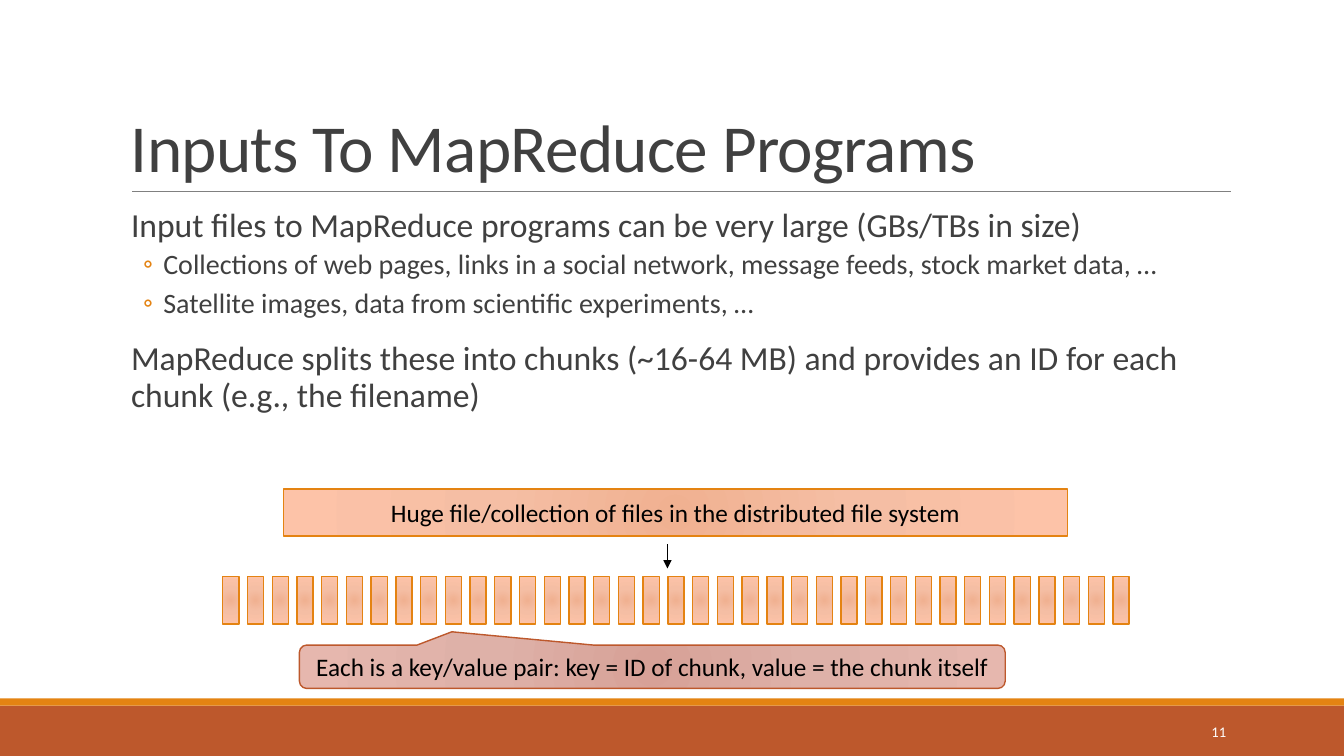
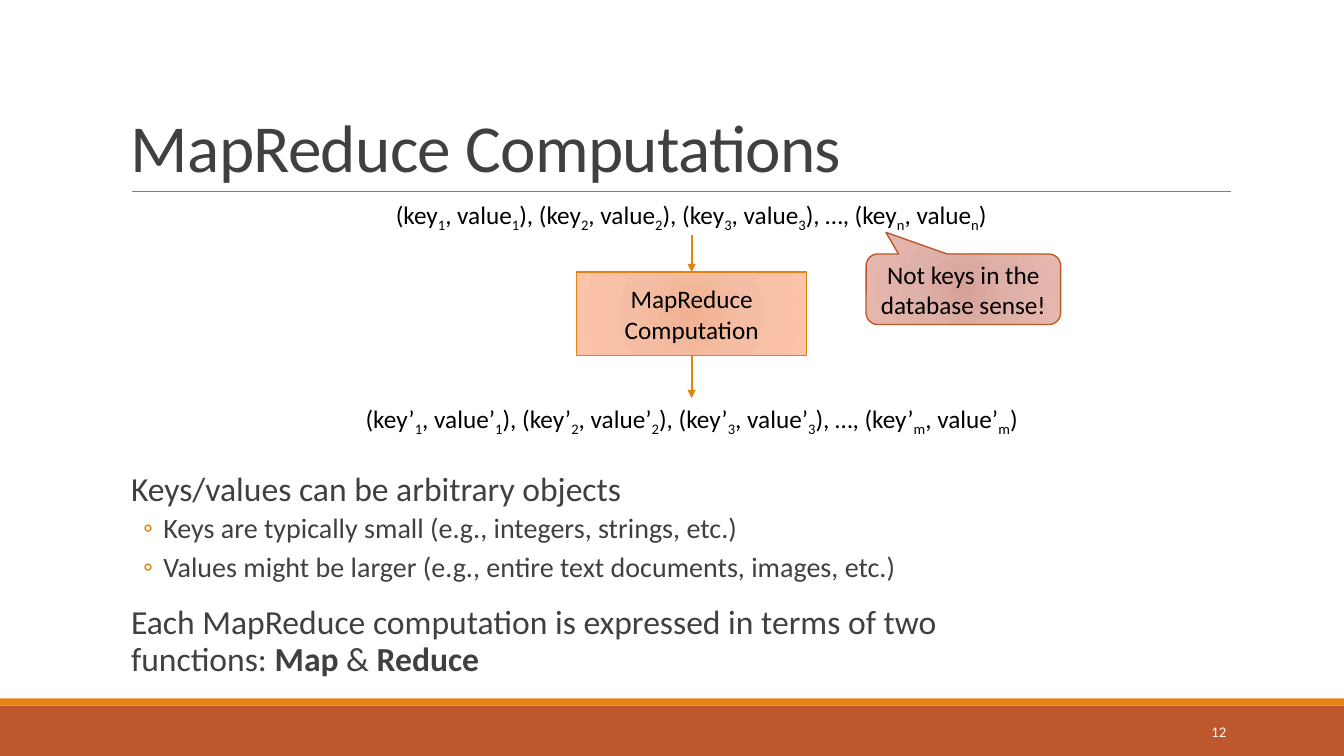
from lxml import etree
from pptx import Presentation, util as u
from pptx.dml.color import RGBColor
from pptx.enum import shapes, text
from pptx.oxml import ns

ORANGE, RUST, GRAY, INK, BLACK, WHITE = "E48312", "BD582C", "808080", "404040", "000000", "FFFFFF"
PEACH = ("F0B191", "F5BEA4", "FDC3A8")
ROSE = ("D7A197", "DEB1A8", "E6B7AE")
STOPS = (0, 45, 100)
SHAPE = shapes.MSO_SHAPE
ALIGN = text.PP_ALIGN
ANCHOR = text.MSO_ANCHOR


def color(value):
    return RGBColor.from_string(value)


def child(parent, tag, **attributes):
    return etree.SubElement(parent, ns.qn(tag), attributes)


class Deck:
    """Holds the presentation, its shared style and the current slide."""

    def __init__(self):
        self.presentation = Presentation()
        self.presentation.slide_width = u.Inches(13.33)
        self.presentation.slide_height = u.Inches(7.5)
        self.slide = None

    def add_slide(self, title, number):
        self.slide = self.presentation.slides.add_slide(self.presentation.slide_layouts[6])
        self.band(7, 0.5, RUST)
        self.band(6.93, 0.07, ORANGE)
        self.line((1.31, 1.9), (12.21, 1.9), GRAY, 0.5)
        paragraph = self.label(title, (1.2, 0.31, 11, 1.59), 48, INK, ALIGN.LEFT, ANCHOR.BOTTOM)
        paragraph.line_spacing = 0.85
        paragraph.runs[0]._r.get_or_add_rPr().set("spc", "-50")
        self.label(str(number), (10.83, 7.06, 1.43, 0.4), 10.5, WHITE, ALIGN.RIGHT, ANCHOR.MIDDLE)

    def shape(self, kind, place):
        shape = self.slide.shapes.add_shape(kind, *map(u.Inches, place))
        shape.shadow.inherit = False
        return shape

    def text_box(self, place):
        frame = self.slide.shapes.add_textbox(*map(u.Inches, place)).text_frame
        frame.word_wrap = True
        return frame

    def style(self, paragraph, size, ink, alignment=ALIGN.LEFT):
        paragraph.alignment = alignment
        for run in paragraph.runs:
            run.font.name = "Calibri"
            run.font.size = u.Pt(size)
            run.font.color.rgb = color(ink)

    def band(self, top, height, fill):
        band = self.shape(SHAPE.RECTANGLE, (0, top, 13.33, height))
        band.fill.solid()
        band.fill.fore_color.rgb = color(fill)
        band.line.fill.background()

    def line(self, start, end, ink, width, arrow=False):
        points = map(u.Inches, (*start, *end))
        line = self.slide.shapes.add_connector(shapes.MSO_CONNECTOR.STRAIGHT, *points)
        line.line.color.rgb = color(ink)
        line.line.width = u.Pt(width)
        if arrow:
            child(line.line._get_or_add_ln(), "a:tailEnd", type="triangle")
        child(line._element.spPr, "a:effectLst")

    def label(self, words, place, size, ink, alignment, anchor):
        frame = self.text_box(place)
        frame.vertical_anchor = anchor
        frame.text = words
        self.style(frame.paragraphs[0], size, ink, alignment)
        return frame.paragraphs[0]

    def box(self, place, words="", kind=SHAPE.RECTANGLE, shades=PEACH, border=ORANGE):
        box = self.shape(kind, place)
        box.line.color.rgb = color(border)
        box.line.width = u.Pt(1)
        gradient = etree.Element(ns.qn("a:gradFill"), rotWithShape="1")
        stops = child(gradient, "a:gsLst")
        for position, shade in zip(STOPS, shades):
            child(child(stops, "a:gs", pos=str(position * 1000)), "a:srgbClr", val=shade)
        circle = child(gradient, "a:path", path="circle")
        child(circle, "a:fillToRect", **dict.fromkeys("ltrb", "100000"))
        box._element.spPr.find(ns.qn("a:prstGeom")).addnext(gradient)
        if words:
            box.text_frame.text = words
            box.text_frame.vertical_anchor = ANCHOR.MIDDLE
            for paragraph in box.text_frame.paragraphs:
                self.style(paragraph, 18, BLACK, ALIGN.CENTER)
        return box

    def callout(self, place, words, tip):
        callout = self.box(place, words, SHAPE.ROUNDED_RECTANGULAR_CALLOUT, ROSE, RUST)
        for index, value in enumerate((*tip, 0.167)):
            callout.adjustments[index] = value

    def body(self, place, entries):
        frame = self.text_box(place)
        frame.margin_left = frame.margin_right = 0
        for index, (level, *pieces) in enumerate(entries):
            paragraph = frame.paragraphs[0] if index == 0 else frame.add_paragraph()
            size, before, after, margin, hanging = ((24, 12, 2, 0.1, 0), (20, 2, 4, 0.42, -0.2))[level]
            paragraph.line_spacing = 0.9
            paragraph.space_before = u.Pt(before if index else 0)
            paragraph.space_after = u.Pt(after)
            properties = paragraph._p.get_or_add_pPr()
            properties.set("marL", str(u.Inches(margin)))
            properties.set("indent", str(u.Inches(hanging)))
            if level:
                child(child(properties, "a:buClr"), "a:srgbClr", val=ORANGE)
                child(properties, "a:buFont", typeface="Calibri")
                child(properties, "a:buChar", char="◦")
            for position, piece in enumerate(pieces):
                run = paragraph.add_run()
                run.text = piece
                run.font.bold = position % 2 == 1
            self.style(paragraph, size, INK)

    def pairs(self, place, prime, last):
        frame = self.text_box(place)
        frame.word_wrap = False
        paragraph = frame.paragraphs[0]
        opening = "("
        for subscript in ("1", "2", "3", last):
            if subscript == last:
                opening = "), …, ("
            for words in (f"{opening}key{prime}", f", value{prime}"):
                paragraph.add_run().text = words
                lowered = paragraph.add_run()
                lowered.text = subscript
                lowered._r.get_or_add_rPr().set("baseline", "-25000")
            opening = "), ("
        paragraph.add_run().text = ")"
        self.style(paragraph, 18, BLACK, ALIGN.CENTER)


def inputs_slide(deck):
    deck.add_slide("Inputs To MapReduce Programs", 11)
    deck.body((1.2, 2.02, 11, 4.4), [
        (0, "Input files to MapReduce programs can be very large (GBs/TBs in size)"),
        (1, "Collections of web pages, links in a social network, message feeds, stock market data, …"),
        (1, "Satellite images, data from scientific experiments, …"),
        (0, "MapReduce splits these into chunks (~16-64 MB) and provides an ID for each chunk "
            "(e.g., the filename)"),
    ])
    deck.box((2.81, 4.85, 7.78, 0.47), "Huge file/collection of files in the distributed file system")
    chunk_count, first_left, last_left = 37, 2.21, 11.04
    pitch = (last_left - first_left) / (chunk_count - 1)
    for index in range(chunk_count):
        deck.box((first_left + index * pitch, 5.72, 0.16, 0.47))
    deck.line((6.62, 5.4), (6.62, 5.64), BLACK, 1.25, arrow=True)
    deck.callout((2.97, 6.4, 7, 0.43),
                 "Each is a key/value pair: key = ID of chunk, value = the chunk itself", (-0.284, -0.807))


def computations_slide(deck):
    deck.add_slide("MapReduce Computations", 12)
    deck.body((1.2, 4.64, 9, 2.34), [
        (0, "Keys/values can be arbitrary objects"),
        (1, "Keys are typically small (e.g., integers, strings, etc.)"),
        (1, "Values might be larger (e.g., entire text documents, images, etc.)"),
        (0, "Each MapReduce computation is expressed in terms of two functions: ", "Map", " & ", "Reduce"),
    ])
    deck.box((5.72, 2.7, 2.28, 0.83), "MapReduce\nComputation")
    deck.pairs((3.7, 1.93, 6.31, 0.4), "", "n")
    deck.pairs((3.44, 3.95, 6.84, 0.4), "’", "m")
    for top, bottom in ((2.33, 2.7), (3.53, 3.95)):
        deck.line((6.86, top), (6.86, bottom), ORANGE, 1.25, arrow=True)
    deck.callout((8.59, 2.52, 1.93, 0.7), "Not keys in the database sense!", (-0.398, -0.807))


def main():
    deck = Deck()
    inputs_slide(deck)
    computations_slide(deck)
    deck.presentation.save("out.pptx")


if __name__ == "__main__":
    main()
